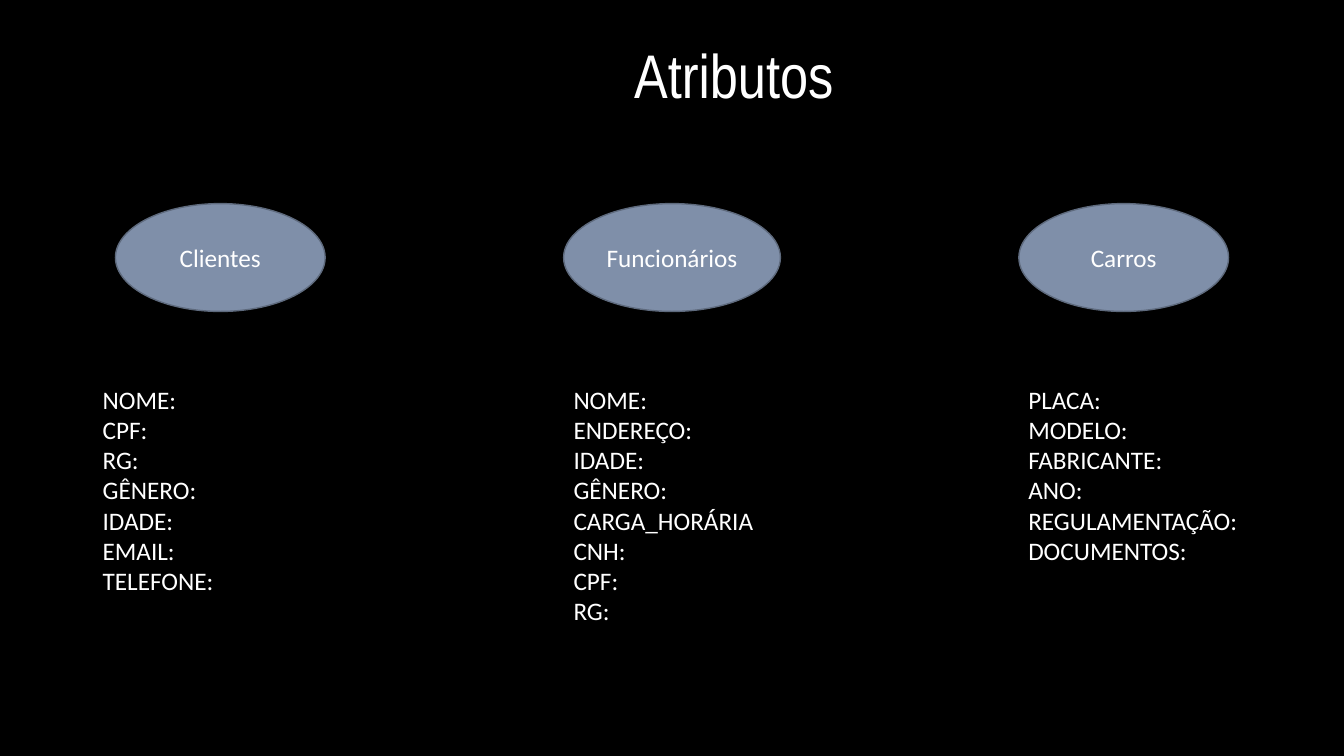
"""Build the slide listing the attributes of each entity."""
from pptx import Presentation
from pptx.dml.color import RGBColor
from pptx.enum import shapes, text
from pptx.util import Inches, Pt

TITLE = "Atributos"
ENTITIES = [
    {"name": "Clientes", "oval_w": 2.08, "list_x": 0.92, "list_w": 2.06,
     "fields": ["NOME:", "CPF:", "RG:", "GÊNERO:", "IDADE:", "EMAIL:", "TELEFONE:"]},
    {"name": "Funcionários", "oval_w": 2.15, "list_x": 5.59, "list_w": 2.46,
     "fields": ["NOME:", "ENDEREÇO:", "IDADE:", "GÊNERO:", "CARGA_HORÁRIA",
                "CNH:", "CPF:", "RG:"]},
    {"name": "Carros", "oval_w": 2.08, "list_x": 10.1, "list_w": 2.31,
     "fields": ["PLACA:", "MODELO:", "FABRICANTE:", "ANO:", "REGULAMENTAÇÃO:",
                "DOCUMENTOS:"]},
]
THEME = {
    "background": RGBColor.from_string("000000"),
    "oval": RGBColor.from_string("7F8FA9"),
    "outline": RGBColor.from_string("5E6A7D"),
    "title": {"name": "Arial Narrow", "size": Pt(44), "bold": False},
    "body": {"name": "Calibri", "size": Pt(18)},
    "text": RGBColor.from_string("FFFFFF"),
}
SLIDE_W, SLIDE_H = 13.33, 7.5
OVAL_STEP, OVAL_Y, OVAL_H = 4.48, 2.02, 1.07
LIST_Y, LINE_H, LIST_PAD = 3.76, 0.3, 0.1


def write(tf, lines, font, align, **frame):
    for key, value in frame.items():
        setattr(tf, key, value)
    for i, line in enumerate(lines):
        p = tf.paragraphs[0] if i == 0 else tf.add_paragraph()
        p.alignment = align
        r = p.add_run()
        r.text = line
        for key, value in font.items():
            setattr(r.font, key, value)
        r.font.color.rgb = THEME["text"]


def add_title(s):
    sp = s.shapes.title
    box = {"left": 0.92, "top": 0.4, "width": 11.5, "height": 1.45}
    for key, value in box.items():
        setattr(sp, key, Inches(value))
    write(sp.text_frame, [TITLE], THEME["title"], text.PP_ALIGN.LEFT,
          margin_left=Inches(5.37), vertical_anchor=text.MSO_ANCHOR.TOP,
          auto_size=text.MSO_AUTO_SIZE.NONE)
    sp.text_frame.paragraphs[0].line_spacing = 0.9


def add_entity(s, index, entity):
    width = entity["oval_w"]
    centre = SLIDE_W / 2 + (index - 1) * OVAL_STEP
    sp = s.shapes.add_shape(shapes.MSO_SHAPE.OVAL, Inches(centre - width / 2),
                            Inches(OVAL_Y), Inches(width), Inches(OVAL_H))
    sp.shadow.inherit = False
    sp.fill.solid()
    sp.fill.fore_color.rgb = THEME["oval"]
    sp.line.color.rgb = THEME["outline"]
    sp.line.width = Pt(1)
    write(sp.text_frame, [entity["name"]], THEME["body"], text.PP_ALIGN.CENTER,
          vertical_anchor=text.MSO_ANCHOR.MIDDLE)

    fields = entity["fields"]
    sp = s.shapes.add_textbox(Inches(entity["list_x"]), Inches(LIST_Y),
                              Inches(entity["list_w"]),
                              Inches(len(fields) * LINE_H + LIST_PAD))
    write(sp.text_frame, fields, THEME["body"], text.PP_ALIGN.LEFT,
          word_wrap=True, auto_size=text.MSO_AUTO_SIZE.SHAPE_TO_FIT_TEXT)


def main():
    prs = Presentation()
    prs.slide_width, prs.slide_height = Inches(SLIDE_W), Inches(SLIDE_H)
    s = prs.slides.add_slide(prs.slide_layouts.get_by_name("Title Only"))
    s.background.fill.solid()
    s.background.fill.fore_color.rgb = THEME["background"]
    add_title(s)
    for index, entity in enumerate(ENTITIES):
        add_entity(s, index, entity)
    prs.save("out.pptx")


if __name__ == "__main__":
    main()
